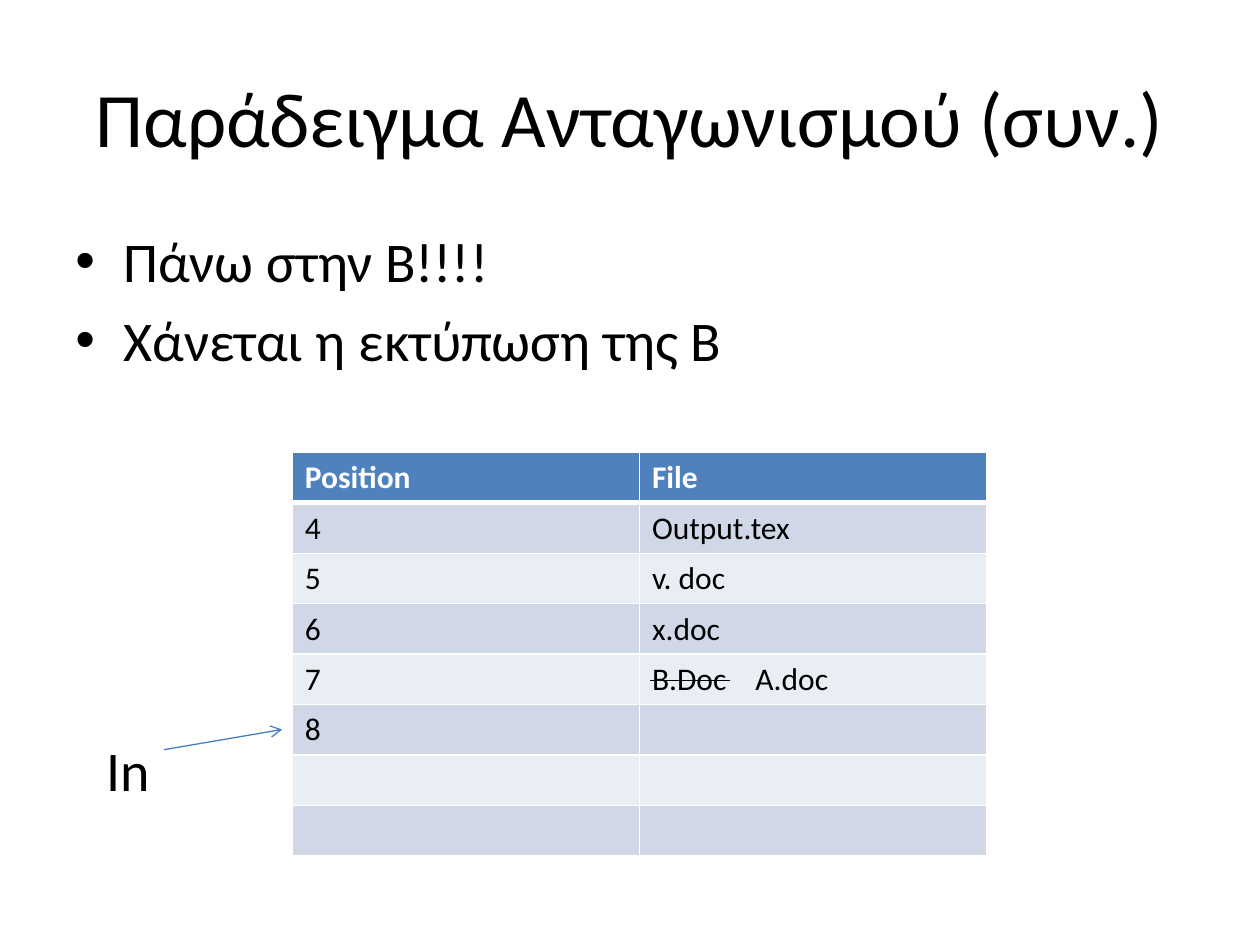
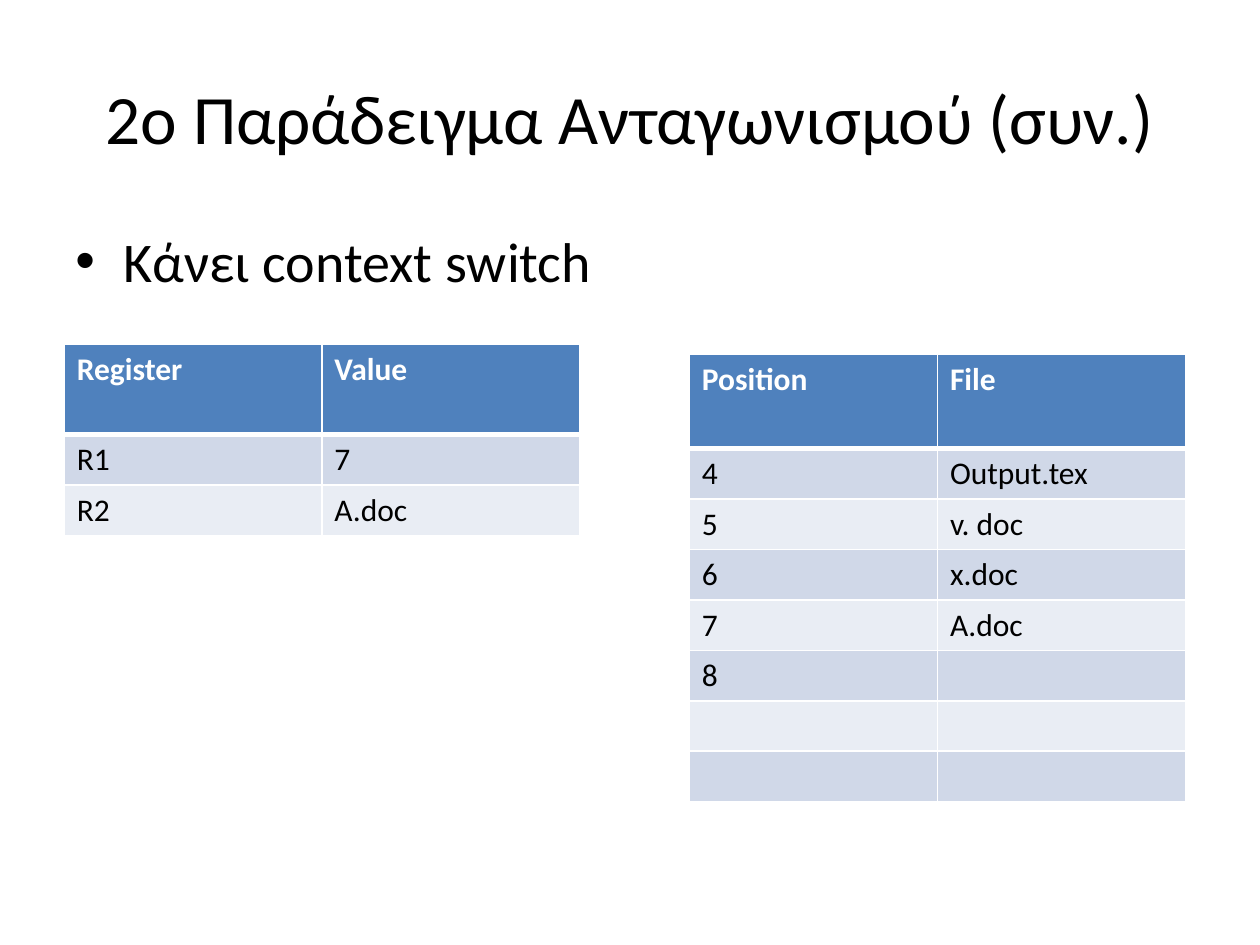
from dataclasses import dataclass

from lxml.etree import SubElement
from pptx import Presentation
from pptx.dml.color import RGBColor
from pptx.enum.shapes import MSO_CONNECTOR
from pptx.enum.text import MSO_ANCHOR, PP_ALIGN
from pptx.oxml.ns import qn
from pptx.util import Inches, Pt


@dataclass(frozen=True)
class Theme:
    font: str = "Calibri"
    ink: str = "000000"
    paper: str = "FFFFFF"
    header: str = "4F81BD"
    bands: tuple = ("D0D8E8", "E9EDF4")
    arrow: str = "4B7EBC"
    title_size: float = 44
    long_title_size: float = 39.6
    body_size: float = 32
    table_size: float = 18
    grid_width: float = 1
    header_rule_width: float = 3
    line_width: float = 0.75


THEME = Theme()
TITLE_BOX = (0.5, 0.3, 9, 1.25)
BODY_BOX = (0.5, 1.75, 9, 4.95)
BULLET_INDENT = 0.38
FILE_TAB = 0.82
ROW_HEIGHT = 0.4


def print_queue(file_at_seven):
    return [
        ("Position", "File"),
        ("4", "Output.tex"),
        ("5", "v. doc"),
        ("6", "x.doc"),
        ("7", file_at_seven),
        ("8", ""),
        ("", ""),
        ("", ""),
    ]


REGISTERS = [("Register", "Value"), ("R1", "7"), ("R2", "A.doc")]

SLIDES = [
    {
        "title": "Παράδειγμα Ανταγωνισμού (συν.)",
        "title_size": THEME.title_size,
        "bullets": ["Πάνω στην Β!!!!", "Χάνεται η εκτύπωση της Β"],
        "tables": [
            {"rows": print_queue("B.Doc\tΑ.doc"), "at": (2.32, 3.59),
             "width": 5.51, "header_height": ROW_HEIGHT},
        ],
        "labels": [("In", (0.75, 5.79, 0.79, 0.64))],
        "lines": [
            {"start": (1.3, 5.95), "end": (2.24, 5.79),
             "color": THEME.arrow, "arrow": True},
            {"start": (5.16, 5.4), "end": (5.79, 5.4),
             "color": THEME.ink, "arrow": False},
        ],
    },
    {
        "title": "2o Παράδειγμα Ανταγωνισμού (συν.)",
        "title_size": THEME.long_title_size,
        "bullets": ["Κάνει context switch"],
        "tables": [
            {"rows": REGISTERS, "at": (0.51, 2.73),
             "width": 4.09, "header_height": 0.72},
            {"rows": print_queue("Α.doc"), "at": (5.47, 2.81),
             "width": 3.94, "header_height": 0.75},
        ],
        "labels": [],
        "lines": [],
    },
]


def write_text(frame, lines, *, size, color=THEME.ink, bold=False,
               align=PP_ALIGN.LEFT, bullet=False):
    for index, line in enumerate(lines):
        paragraph = frame.add_paragraph() if index else frame.paragraphs[0]
        paragraph.alignment = align
        properties = paragraph._p.get_or_add_pPr()
        if bullet:
            paragraph.space_before = Pt(size * 0.2)
            properties.set("marL", str(Inches(BULLET_INDENT)))
            properties.set("indent", str(-Inches(BULLET_INDENT)))
            SubElement(properties, qn("a:buFont"), typeface="Arial")
            SubElement(properties, qn("a:buChar"), char="•")
        if "\t" in line:
            tabs = SubElement(properties, qn("a:tabLst"))
            SubElement(tabs, qn("a:tab"), pos=str(Inches(FILE_TAB)), algn="l")
        if line:
            run = paragraph.add_run()
            run.text = line
            run.font.name = THEME.font
            run.font.size = Pt(size)
            run.font.bold = bold
            run.font.color.rgb = RGBColor.from_string(color)


def add_text(slide, box, lines, *, anchor=MSO_ANCHOR.TOP, **text_format):
    shape = slide.shapes.add_textbox(*map(Inches, box))
    frame = shape.text_frame
    frame.word_wrap = True
    frame.vertical_anchor = anchor
    write_text(frame, lines, **text_format)


def add_border(cell, side, width):
    properties = cell._tc.get_or_add_tcPr()
    border = SubElement(properties, qn(f"a:ln{side}"), w=str(Pt(width)))
    fill = SubElement(border, qn("a:solidFill"))
    SubElement(fill, qn("a:srgbClr"), val=THEME.paper)


def style_cell(cell, row_index):
    rule_sides = {0: "B", 1: "T"}
    for side in "LRTB":
        is_rule = rule_sides.get(row_index) == side
        add_border(cell, side,
                   THEME.header_rule_width if is_rule else THEME.grid_width)
    color = THEME.bands[(row_index - 1) % 2] if row_index else THEME.header
    cell.fill.solid()
    cell.fill.fore_color.rgb = RGBColor.from_string(color)


def add_data_table(slide, rows, at, width, header_height):
    height = header_height + ROW_HEIGHT * (len(rows) - 1)
    table = slide.shapes.add_table(
        len(rows), len(rows[0]), *map(Inches, (*at, width, height))).table
    for row_index, values in enumerate(rows):
        is_header = row_index == 0
        table.rows[row_index].height = Inches(
            header_height if is_header else ROW_HEIGHT)
        for column_index, value in enumerate(values):
            cell = table.cell(row_index, column_index)
            style_cell(cell, row_index)
            write_text(cell.text_frame, [value], size=THEME.table_size,
                       color=THEME.paper if is_header else THEME.ink,
                       bold=is_header)


def add_line(slide, start, end, color, arrow):
    connector = slide.shapes.add_connector(
        MSO_CONNECTOR.STRAIGHT, *map(Inches, (*start, *end)))
    connector.line.color.rgb = RGBColor.from_string(color)
    connector.line.width = Pt(THEME.line_width)
    if arrow:
        SubElement(connector.line._get_or_add_ln(), qn("a:tailEnd"),
                   type="arrow")
    SubElement(connector._element.spPr, qn("a:effectLst"))


def build_slide(presentation, content):
    slide = presentation.slides.add_slide(presentation.slide_layouts[6])
    add_text(slide, TITLE_BOX, [content["title"]], size=content["title_size"],
             align=PP_ALIGN.CENTER, anchor=MSO_ANCHOR.MIDDLE)
    add_text(slide, BODY_BOX, content["bullets"], size=THEME.body_size,
             bullet=True)
    for table in content["tables"]:
        add_data_table(slide, **table)
    for label, box in content["labels"]:
        add_text(slide, box, [label], size=THEME.body_size)
    for line in content["lines"]:
        add_line(slide, **line)


def main():
    presentation = Presentation()
    presentation.slide_width = Inches(10)
    presentation.slide_height = Inches(7.5)
    for content in SLIDES:
        build_slide(presentation, content)
    presentation.save("out.pptx")


if __name__ == "__main__":
    main()
